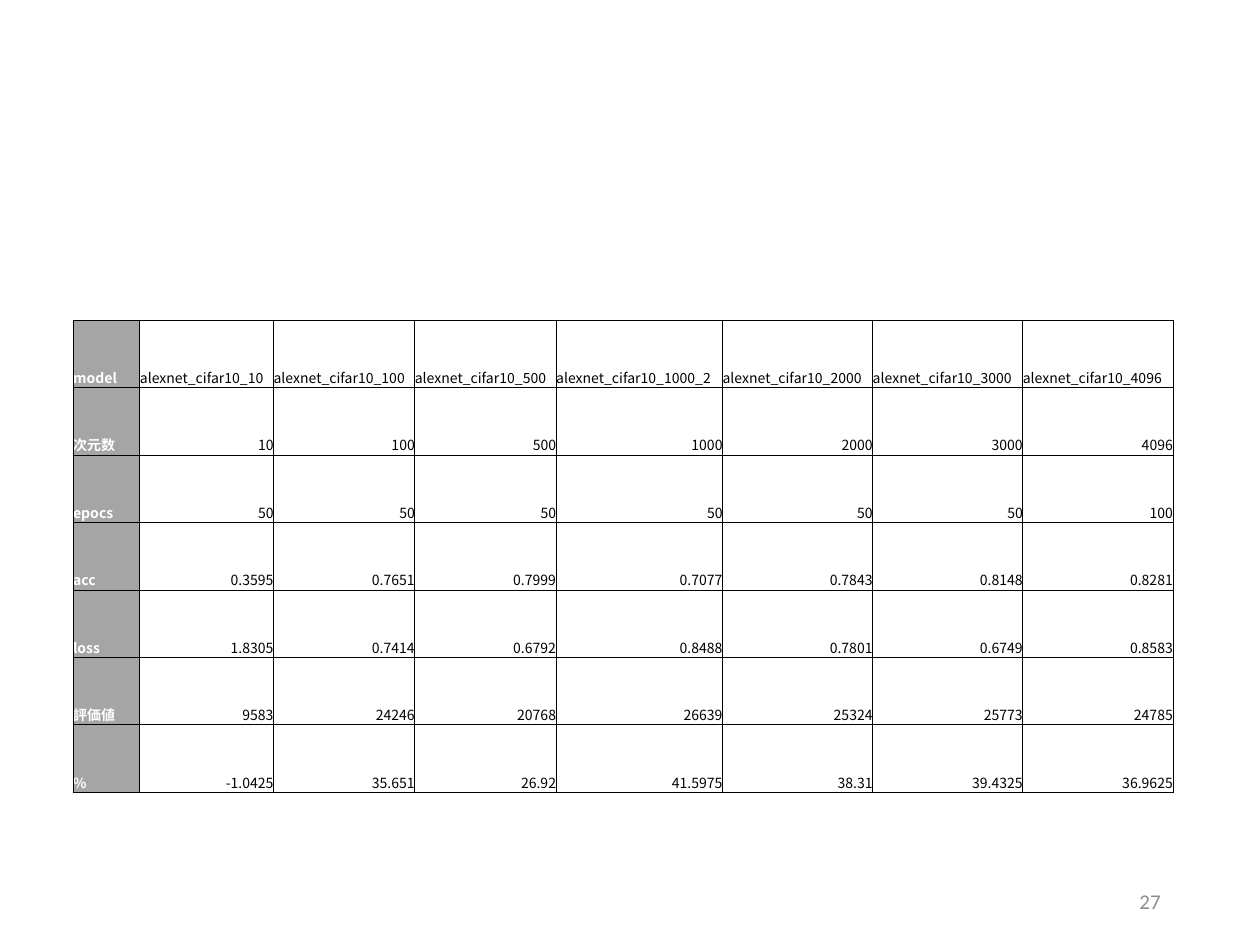
from lxml.etree import SubElement
from pptx import Presentation
from pptx.dml.color import RGBColor
from pptx.enum.text import MSO_ANCHOR, PP_ALIGN
from pptx.oxml.ns import qn
from pptx.util import Inches, Pt

FONT = "Noto Sans CJK JP"
WIDTHS = [0.53, 1.06, 1.12, 1.12, 1.32, 1.19, 1.19, 1.19]
ROWS = [
    ["model"] + ["alexnet_cifar10_" + end for end in
                 ("10", "100", "500", "1000_2", "2000", "3000", "4096")],
    ["次元数", "10", "100", "500", "1000", "2000", "3000", "4096"],
    ["epocs", "50", "50", "50", "50", "50", "50", "100"],
    ["acc", "0.3595", "0.7651", "0.7999", "0.7077", "0.7843", "0.8148", "0.8281"],
    ["loss", "1.8305", "0.7414", "0.6792", "0.8488", "0.7801", "0.6749", "0.8583"],
    ["評価値", "9583", "24246", "20768", "26639", "25324", "25773", "24785"],
    ["%", "-1.0425", "35.651", "26.92", "41.5975", "38.31", "39.4325", "36.9625"],
]


def color(code):
    return RGBColor.from_string(code)


def add_run(para, text, font, size, code, bold=False):
    run = para.add_run()
    run.text = text
    run.font.name = font
    run.font.size = Pt(size)
    run.font.bold = bold
    run.font.color.rgb = color(code)
    SubElement(run.font._element, qn("a:ea"), typeface=font)


def add_edges(cell, code, width):
    props = cell._tc.get_or_add_tcPr()
    for side in ("lnL", "lnR", "lnT", "lnB"):
        line = SubElement(props, qn("a:" + side), w=str(Pt(width)))
        fill = SubElement(line, qn("a:solidFill"))
        SubElement(fill, qn("a:srgbClr"), val=code)


def fill_cell(cell, text, head, align):
    cell.margin_left = cell.margin_right = 0
    cell.margin_top = cell.margin_bottom = 0
    cell.vertical_anchor = MSO_ANCHOR.BOTTOM
    add_edges(cell, "000000", 0.5)
    if head:
        cell.fill.solid()
        cell.fill.fore_color.rgb = color("A5A5A5")
    else:
        cell.fill.background()
    para = cell.text_frame.paragraphs[0]
    para.alignment = align
    add_run(para, text, FONT, 8, "FFFFFF" if head else "000000", head)


def add_scores(slide, left, top, width, height):
    frame = slide.shapes.add_table(len(ROWS), len(WIDTHS), Inches(left),
                                   Inches(top), Inches(width), Inches(height))
    table = frame.table
    table.first_row = table.horz_banding = False
    for col, share in zip(table.columns, WIDTHS):
        col.width = Inches(width * share / sum(WIDTHS))
    for i, row in enumerate(ROWS):
        table.rows[i].height = Inches(height / len(ROWS))
        for j, text in enumerate(row):
            align = PP_ALIGN.RIGHT if i and j else PP_ALIGN.LEFT
            fill_cell(table.cell(i, j), text, j == 0, align)


def add_number(slide, left, top, width, height):
    box = slide.shapes.add_textbox(Inches(left), Inches(top),
                                   Inches(width), Inches(height))
    frame = box.text_frame
    frame.word_wrap = True
    frame.vertical_anchor = MSO_ANCHOR.MIDDLE
    para = frame.paragraphs[0]
    para.alignment = PP_ALIGN.RIGHT
    add_run(para, "27", "Calibri", 12, "8C8C8C")


def main():
    deck = Presentation()
    deck.slide_width = Inches(10)
    deck.slide_height = Inches(7.5)
    slide = deck.slides.add_slide(deck.slide_layouts[6])
    add_number(slide, 7.06, 6.95, 2.25, 0.4)
    add_scores(slide, 0.58, 2.54, 8.73, 3.75)
    deck.save("out.pptx")


if __name__ == "__main__":
    main()
